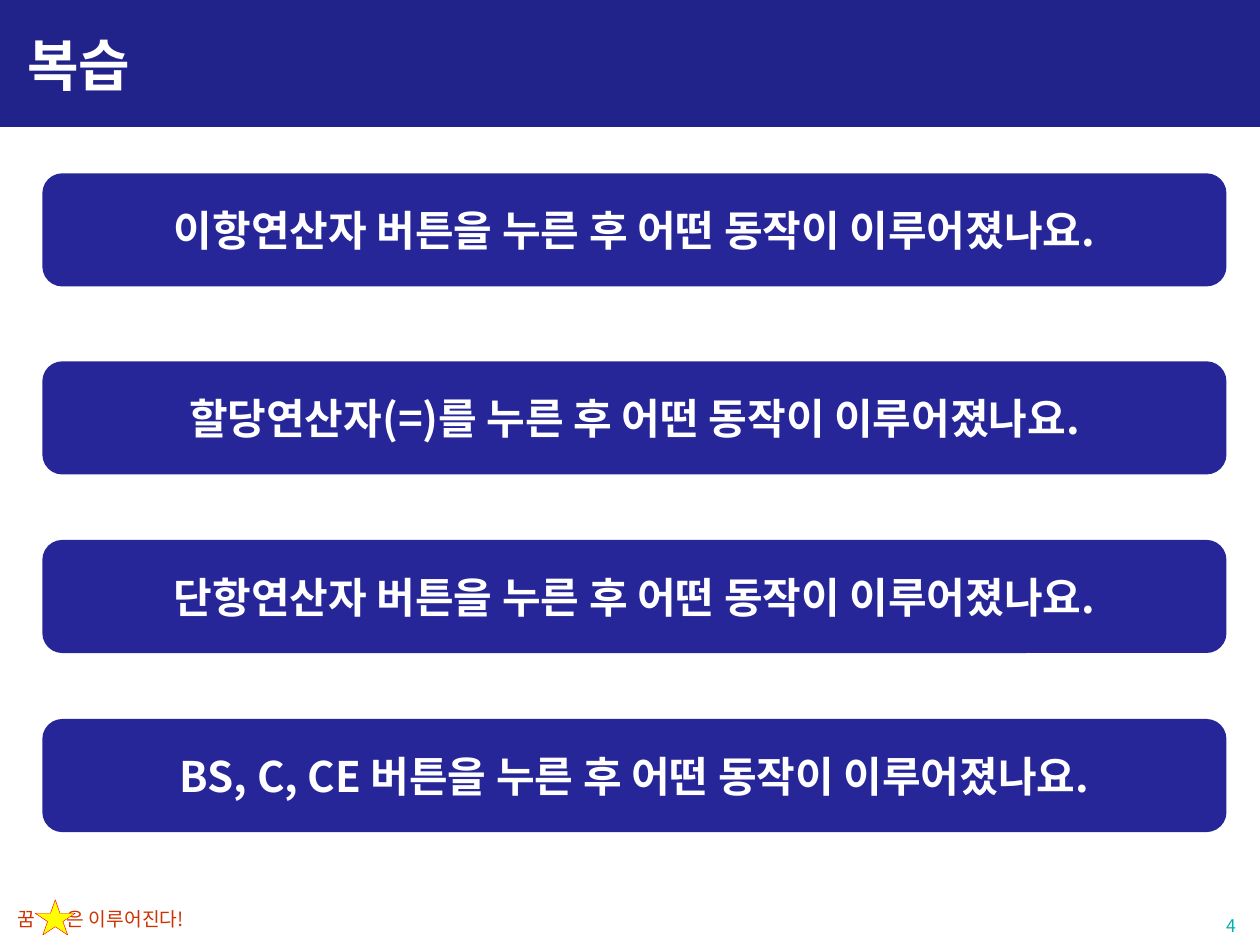
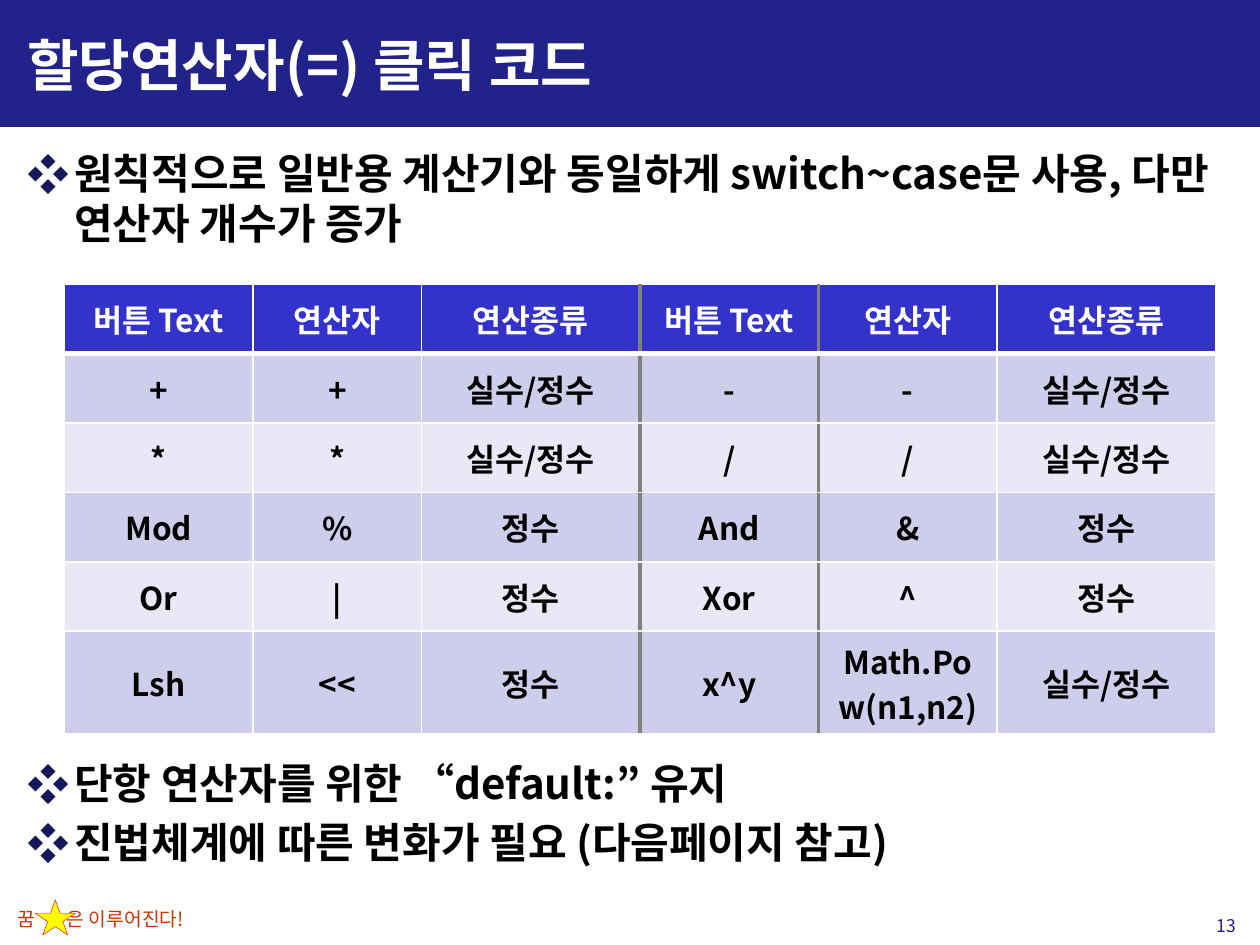
"""Build two lecture slides on calculator operators."""
from lxml.etree import SubElement
from pptx import Presentation
from pptx.dml.color import RGBColor
from pptx.enum.shapes import MSO_SHAPE as Preset
from pptx.enum.text import MSO_ANCHOR as Anchor, PP_ALIGN as Align
from pptx.oxml.ns import qn
from pptx.util import Cm, Pt

FONT = "Noto Sans CJK KR"
COLORS = {
    "band": "22228B", "question": "262699", "white": "FFFFFF", "black": "000000",
    "slogan": "CC3300", "star": "FFFF00", "star_edge": "FF0000", "teal": "02B0AC",
    "bullet": "17175C", "header": "3333CC", "row_dark": "CECEEC",
    "row_light": "E8E8F6", "divider": "808080",
}
FORMATS = {
    "title": {"size": Pt(32), "bold": True},
    "body": {"size": Pt(24), "bold": True},
    "cell": {"size": Pt(18), "bold": True},
    "slogan": {"size": Pt(11), "bold": False},
    "number": {"size": Pt(10), "bold": False},
}
QUESTIONS = [
    (3.53, "이항연산자 버튼을 누른 후 어떤 동작이 이루어졌나요."),
    (7.32, "할당연산자(=)를 누른 후 어떤 동작이 이루어졌나요."),
    (10.92, "단항연산자 버튼을 누른 후 어떤 동작이 이루어졌나요."),
    (14.53, "BS, C, CE 버튼을 누른 후 어떤 동작이 이루어졌나요."),
]
OPERATORS = [
    ["버튼 Text", "연산자", "연산종류"] * 2,
    ["+", "+", "실수/정수", "-", "-", "실수/정수"],
    ["*", "*", "실수/정수", "/", "/", "실수/정수"],
    ["Mod", "%", "정수", "And", "&", "정수"],
    ["Or", "|", "정수", "Xor", "^", "정수"],
    ["Lsh", "<<", "정수", "x^y", "Math.Pow(n1,n2)", "실수/정수"],
]
COLUMN_WIDTHS = [3.8, 3.4, 4.4, 3.6, 3.6, 4.4]
ROW_HEIGHTS = [1.4] * 5 + [2.07]
DIVIDERS = {3: 2.25, 4: 1.5}


def rgb(name):
    """Return the named palette colour."""
    return RGBColor.from_string(COLORS[name])


def box(*lengths):
    """Convert left, top, width and height to Cm."""
    return [Cm(length) for length in lengths]


def assign(target, values):
    """Set each attribute of the target from a dict."""
    for name, value in values.items():
        setattr(target, name, value)


class Lecture:
    """Hold the shared style and the current slide."""

    def __init__(self):
        """Open an empty 4:3 presentation."""
        self.deck = Presentation()
        assign(self.deck, {"slide_width": Cm(25.4), "slide_height": Cm(19.05)})

    def start(self, title, number, number_color):
        """Add a slide with its band, title, slogan and number."""
        self.slide = self.deck.slides.add_slide(self.deck.slide_layouts[6])
        self.shape(Preset.RECTANGLE, (0, 0, 25.4, 2.52), "band", "band", 2)
        self.text((0.1, 18.17, 13.28, 0.75), ["꿈\t은 이루어진다!"], "slogan", "slogan", tab=1)
        self.shape(Preset.STAR_5_POINT, (0.71, 18.14, 0.81, 0.71), "star", "star_edge", 0.25)
        self.text((0.3, 0.25, 24.8, 2.08), [title], "title", "white", anchor=Anchor.MIDDLE)
        self.text((23.7, 18.21, 1.47, 0.89), [number], "number", number_color,
                  anchor=Anchor.MIDDLE, align=Align.RIGHT)

    def shape(self, preset, place, fill, edge, weight):
        """Add a filled preset shape."""
        figure = self.slide.shapes.add_shape(preset, *box(*place))
        figure.shadow.inherit = False
        figure.fill.solid()
        figure.fill.fore_color.rgb = rgb(fill)
        figure.line.color.rgb = rgb(edge)
        figure.line.width = Pt(weight)
        return figure

    def phrase(self, paragraph, words, style, color, align=Align.LEFT):
        """Fill a paragraph with one styled run."""
        paragraph.alignment = align
        run = paragraph.add_run()
        run.text = words
        assign(run.font, {"name": FONT, **FORMATS[style]})
        run.font.color.rgb = rgb(color)
        SubElement(run.font._element, qn("a:ea"), typeface=FONT)

    def text(self, place, lines, style, color, anchor=Anchor.TOP, align=Align.LEFT,
             bullets=False, tab=None):
        """Add a text box with one paragraph per line."""
        frame = self.slide.shapes.add_textbox(*box(*place)).text_frame
        assign(frame, {"word_wrap": True, "vertical_anchor": anchor})
        for index, words in enumerate(lines):
            paragraph = frame.add_paragraph() if index else frame.paragraphs[0]
            if bullets:
                self.bullet(paragraph)
            if tab:
                stops = SubElement(paragraph._p.get_or_add_pPr(), qn("a:tabLst"))
                SubElement(stops, qn("a:tab"), pos=str(Cm(tab)), algn="l")
            if index:
                paragraph.space_before = Pt(5)
            self.phrase(paragraph, words, style, color, align)

    def bullet(self, paragraph):
        """Give a paragraph a hanging diamond bullet."""
        props = paragraph._p.get_or_add_pPr()
        props.set("marL", str(Cm(0.95)))
        props.set("indent", str(Cm(-0.95)))
        tint = SubElement(props, qn("a:buClr"))
        SubElement(tint, qn("a:srgbClr"), val=COLORS["bullet"])
        SubElement(props, qn("a:buFont"), typeface=FONT)
        SubElement(props, qn("a:buChar"), char="❖")

    def question(self, top, words):
        """Add a rounded review question."""
        panel = self.shape(Preset.ROUNDED_RECTANGLE, (0.89, top, 23.8, 2.21),
                           "question", "question", 2)
        assign(panel.text_frame, {"word_wrap": True, "vertical_anchor": Anchor.MIDDLE})
        self.phrase(panel.text_frame.paragraphs[0], words, "body", "white", Align.CENTER)

    def borders(self, cell, row, column):
        """Draw the four edges of a table cell."""
        white = ("white", 1)
        edges = {"lnL": white, "lnR": white, "lnT": white, "lnB": white}
        for side, boundary in (("lnL", column), ("lnR", column + 1)):
            if boundary in DIVIDERS:
                edges[side] = ("divider", DIVIDERS[boundary])
        if row < 2:
            edges["lnT" if row else "lnB"] = ("white", 3)
        props = cell._tc.get_or_add_tcPr()
        for side, (color, weight) in edges.items():
            line = SubElement(props, qn(f"a:{side}"), w=str(Pt(weight)))
            paint = SubElement(line, qn("a:solidFill"))
            SubElement(paint, qn("a:srgbClr"), val=COLORS[color])

    def table(self, left, top, rows):
        """Add the operator table."""
        grid = self.slide.shapes.add_table(
            len(rows), len(rows[0]),
            *box(left, top, sum(COLUMN_WIDTHS), sum(ROW_HEIGHTS))).table
        for column, width in zip(grid.columns, COLUMN_WIDTHS):
            column.width = Cm(width)
        for row, height in zip(grid.rows, ROW_HEIGHTS):
            row.height = Cm(height)
        for r, entries in enumerate(rows):
            fill = "header" if r == 0 else "row_dark" if r % 2 else "row_light"
            for c, words in enumerate(entries):
                cell = grid.cell(r, c)
                self.borders(cell, r, c)
                cell.fill.solid()
                cell.fill.fore_color.rgb = rgb(fill)
                cell.vertical_anchor = Anchor.MIDDLE
                self.phrase(cell.text_frame.paragraphs[0], words, "cell",
                            "black" if r else "white", Align.CENTER)


def main():
    """Build and save both slides."""
    lecture = Lecture()
    lecture.start("복습", "4", "teal")
    for top, words in QUESTIONS:
        lecture.question(top, words)

    lecture.start("할당연산자(=) 클릭 코드", "13", "band")
    lecture.text((0.3, 2.84, 24.87, 2.7),
                 ["원칙적으로 일반용 계산기와 동일하게 switch~case문 사용, 다만 연산자 개수가 증가"],
                 "body", "black", bullets=True)
    lecture.table(1.3, 5.73, OPERATORS)
    lecture.text((0.3, 15.14, 24.87, 2.9),
                 ["단항 연산자를 위한 “default:” 유지", "진법체계에 따른 변화가 필요 (다음페이지 참고)"],
                 "body", "black", bullets=True)
    lecture.deck.save("out.pptx")


if __name__ == "__main__":
    main()
